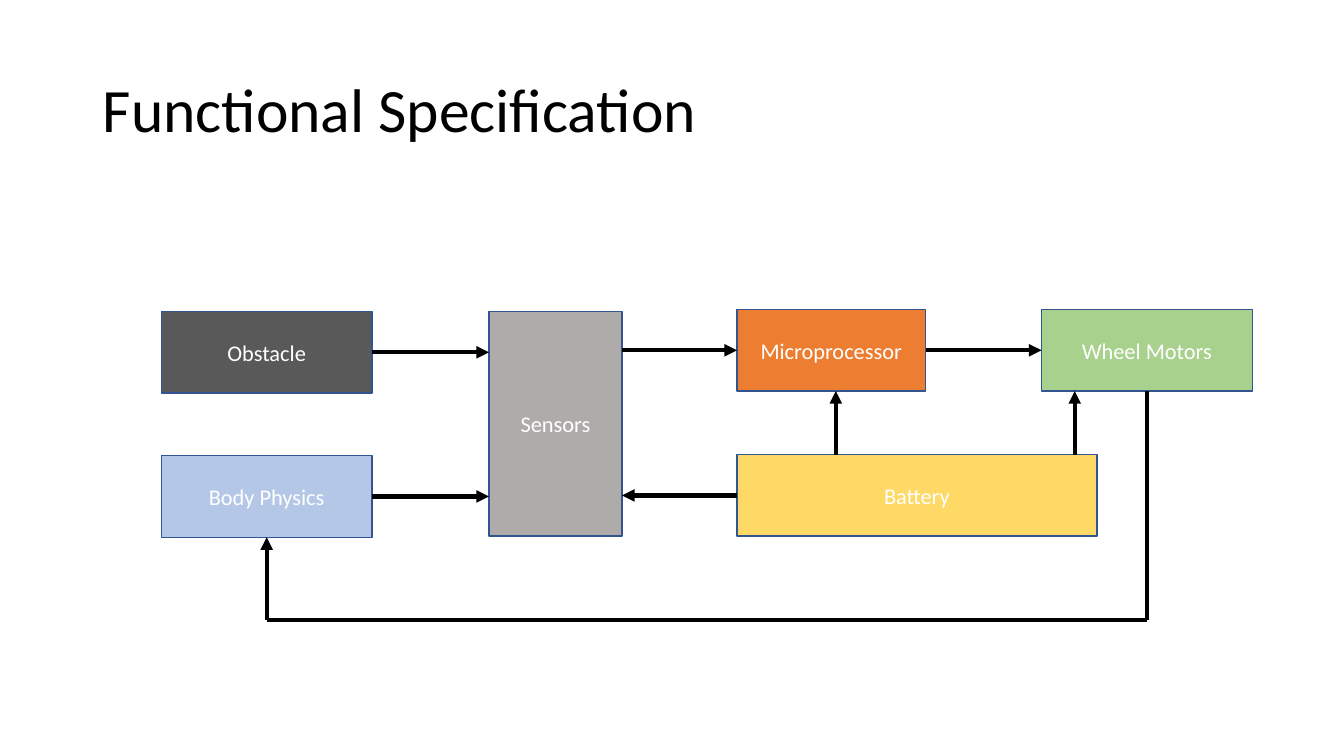
from lxml import etree
from pptx import Presentation
from pptx.dml.color import RGBColor
from pptx.enum.shapes import MSO_CONNECTOR, MSO_SHAPE
from pptx.enum.text import MSO_ANCHOR, MSO_AUTO_SIZE, PP_ALIGN
from pptx.oxml.ns import qn
from pptx.util import Inches, Pt

FONT = "Calibri"
COLORS = {
    "black": "000000", "white": "FFFFFF", "outline": "325491",
    "orange": "ED7D31", "green": "A9D18E", "blue": "B4C7E7",
    "gray": "AFABAB", "dark": "595959", "yellow": "FFD966",
}
TITLE = "Functional Specification"
BLOCKS = {
    "processor": ("Microprocessor", "orange", 7.31, 3.07, 1.87, 0.81),
    "motors": ("Wheel Motors", "green", 10.33, 3.07, 2.09, 0.81),
    "body": ("Body Physics", "blue", 1.6, 4.52, 2.09, 0.81),
    "sensors": ("Sensors", "gray", 4.85, 3.09, 1.32, 2.23),
    "obstacle": ("Obstacle", "dark", 1.6, 3.09, 2.09, 0.81),
    "battery": ("Battery", "yellow", 7.31, 4.51, 3.57, 0.81),
}
SIDE_FLOWS = [
    ("obstacle", "sensors"), ("sensors", "processor"), ("processor", "motors"),
    ("body", "sensors"), ("battery", "sensors"),
]
POWER_FLOWS = [("processor", 8.29), ("motors", 10.66)]
FEEDBACK_Y = 6.15


def rgb(name):
    return RGBColor.from_string(COLORS[name])


def write(frame, text, size, color, align):
    frame.word_wrap = True
    frame.auto_size = MSO_AUTO_SIZE.NONE
    frame.vertical_anchor = MSO_ANCHOR.MIDDLE
    paragraph = frame.paragraphs[0]
    paragraph.alignment = align
    run = paragraph.add_run()
    run.text = text
    run.font.name = FONT
    run.font.size = Pt(size)
    run.font.color.rgb = rgb(color)
    return paragraph


def add_block(label, fill, *box):
    block = slide.shapes.add_shape(MSO_SHAPE.RECTANGLE, *map(Inches, box))
    block.shadow.inherit = False
    block.fill.solid()
    block.fill.fore_color.rgb = rgb(fill)
    block.line.color.rgb = rgb("outline")
    block.line.width = Pt(1)
    write(block.text_frame, label, 16, "white", PP_ALIGN.CENTER)


def add_line(start, end, arrow=True):
    line = slide.shapes.add_connector(
        MSO_CONNECTOR.STRAIGHT, *map(Inches, (*start, *end)))
    line.line.color.rgb = rgb("black")
    line.line.width = Pt(3)
    properties = line._element.spPr
    if arrow:
        etree.SubElement(properties.find(qn("a:ln")), qn("a:tailEnd"), type="triangle")
    etree.SubElement(properties, qn("a:effectLst"))


def edges(name):
    left, top, width, height = BLOCKS[name][2:]
    return left, top, left + width, top + height


def connect_sides(source, target):
    left_a, top_a, right_a, bottom_a = edges(source)
    left_b, top_b, right_b, bottom_b = edges(target)
    y = (top_b + bottom_b) / 2 if source == "sensors" else (top_a + bottom_a) / 2
    x_a, x_b = (right_a, left_b) if left_a < left_b else (left_a, right_b)
    add_line((x_a, y), (x_b, y))


prs = Presentation()
prs.slide_width, prs.slide_height = Inches(13.33), Inches(7.5)
slide = prs.slides.add_slide(prs.slide_layouts[5])

title = slide.shapes.title
title.left, title.top, title.width, title.height = map(Inches, (0.92, 0.39, 11.5, 1.45))
write(title.text_frame, TITLE, 44, "black", PP_ALIGN.LEFT).line_spacing = 0.9

for block in BLOCKS.values():
    add_block(*block)
for source, target in SIDE_FLOWS:
    connect_sides(source, target)

battery_top = edges("battery")[1]
for target, x in POWER_FLOWS:
    add_line((x, battery_top), (x, edges(target)[3]))

motors_left, _, motors_right, motors_bottom = edges("motors")
body_left, _, body_right, body_bottom = edges("body")
motors_x = (motors_left + motors_right) / 2
body_x = (body_left + body_right) / 2
feedback = [(motors_x, motors_bottom), (motors_x, FEEDBACK_Y),
            (body_x, FEEDBACK_Y), (body_x, body_bottom)]
for start, end in zip(feedback, feedback[1:]):
    add_line(start, end, arrow=end == feedback[-1])

prs.save("out.pptx")
